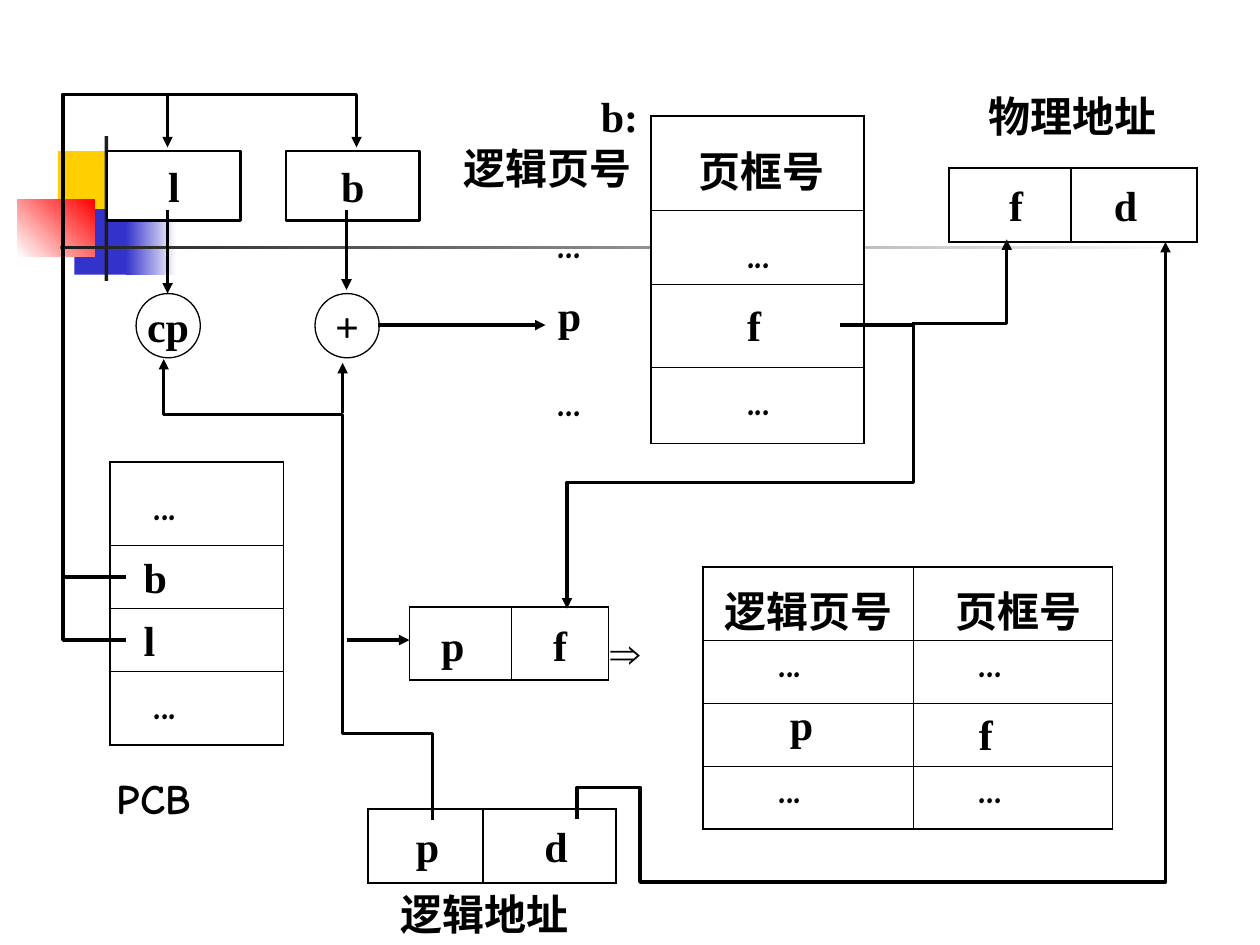
from dataclasses import dataclass
from typing import Optional

import lxml.etree
import pptx
import pptx.dml.color
import pptx.enum.shapes
import pptx.enum.text
import pptx.oxml.ns
import pptx.util

Inches = pptx.util.Inches
Pt = pptx.util.Pt
Shapes = pptx.enum.shapes.MSO_SHAPE
Align = pptx.enum.text.PP_ALIGN
Anchor = pptx.enum.text.MSO_ANCHOR
qn = pptx.oxml.ns.qn


@dataclass(frozen=True)
class Theme:
    ink: str = "000000"
    paper: str = "FFFFFF"
    yellow: str = "FFCF01"
    blue: str = "3333CC"
    red: str = "FF0000"
    charcoal: str = "1C1C1C"
    serif: str = "Times New Roman"
    casual: str = "Comic Neue"
    symbol: str = "Arial"
    text_size: float = 24
    thin: float = 0.75
    outline: float = 1.25
    medium: float = 1.75
    thick: float = 2


THEME = Theme()


@dataclass(frozen=True)
class Ornament:
    box: tuple
    color: str
    end_color: Optional[str] = None
    angle: float = 0


@dataclass(frozen=True)
class Node:
    kind: int
    box: tuple
    text: str
    weight: float


@dataclass(frozen=True)
class Label:
    box: tuple
    text: str


@dataclass(frozen=True)
class Cell:
    text: str
    left: float
    top: float = 0.13
    centered: bool = False


@dataclass(frozen=True)
class Grid:
    left: float
    top: float
    columns: tuple
    rows: tuple
    cells: tuple
    divider: float = THEME.thin


@dataclass(frozen=True)
class Route:
    points: tuple
    weight: float = THEME.thick


ORNAMENTS = (
    Ornament((0.46, 1.2, 0.48, 0.52), THEME.yellow),
    Ornament((0.88, 1.2, 0.36, 0.52), THEME.yellow, THEME.paper),
    Ornament((0.59, 1.66, 0.46, 0.52), THEME.blue),
    Ornament((1, 1.66, 0.4, 0.52), THEME.blue, THEME.paper),
    Ornament((0.14, 1.58, 0.61, 0.46), THEME.paper, THEME.red, 45),
    Ornament((0.83, 1.08, 0.03, 1.15), THEME.charcoal),
    Ornament((0.48, 1.95, 9, 0.03), THEME.charcoal, THEME.paper),
)
NODES = (
    Node(Shapes.RECTANGLE, (0.85, 1.2, 1.06, 0.55), "l", THEME.outline),
    Node(Shapes.RECTANGLE, (2.27, 1.2, 1.06, 0.55), "b", THEME.outline),
    Node(Shapes.OVAL, (1.08, 2.33, 0.51, 0.51), "cp", THEME.thin),
    Node(Shapes.OVAL, (2.5, 2.33, 0.51, 0.51), "+", THEME.thin),
)
GRIDS = (
    # Associative memory table
    Grid(5.58, 4.5, (1.67, 1.58), (0.58, 0.5, 0.5, 0.5), (
        (Cell("逻辑页号", 0, 0.09, True), Cell("页框号", 0.09, 0.09, True)),
        (Cell("...", 0.6, 0), Cell("...", 0.52, 0)),
        (Cell("p", 0.69, 0), Cell("f", 0.52, 0.08)),
        (Cell("...", 0.6, 0), Cell("...", 0.52, 0)),
    )),
    # Process control block
    Grid(0.87, 3.67, (1.38,), (0.66, 0.5, 0.5, 0.58), (
        (Cell("...", 0.35, 0.16),), (Cell("b", 0.27, 0.08),),
        (Cell("l", 0.27, 0.08),), (Cell("...", 0.35, 0.08),),
    )),
    # Page table
    Grid(5.17, 0.92, (1.69,), (0.75, 0.59, 0.66, 0.6), (
        (Cell("页框号", 0.05, 0.18, True),), (Cell("...", 0.76, 0.16),),
        (Cell("f", 0.76, 0.15),), (Cell("...", 0.76, 0.08),),
    )),
    # Physical address, logical address, matched entry
    Grid(7.53, 1.33, (0.97, 1), (0.59,), ((Cell("f", 0.48), Cell("d", 0.34)),)),
    Grid(2.92, 6.42, (0.91, 1.06), (0.59,), ((Cell("p", 0.38), Cell("d", 0.49)),),
         THEME.outline),
    Grid(3.25, 4.82, (0.81, 0.77), (0.58,), ((Cell("p", 0.25), Cell("f", 0.33)),)),
)
LABELS = (
    Label((4.67, 0.67, 0.58, 0.5), "b:"),
    Label((3.58, 1.08, 1.67, 0.5), "逻辑页号"),
    Label((4.33, 1.67, 0.75, 0.5), "..."),
    Label((4.33, 2.25, 0.75, 0.5), "p"),
    Label((4.33, 2.92, 0.75, 0.5), "..."),
    Label((7.75, 0.67, 1.67, 0.5), "物理地址"),
    Label((3.08, 7, 1.67, 0.5), "逻辑地址"),
    Label((0.83, 6.08, 1, 0.5), "PCB"),
    Label((4.75, 4.92, 0.42, 0.5), "⇒"),
)
ROUTES = (
    # Control block to the two registers
    Route(((1, 4.58), (0.5, 4.58), (0.5, 0.75), (2.83, 0.75), (2.83, 1.17))),
    Route(((1, 5.08), (0.5, 5.08), (0.5, 0.75), (1.33, 0.75), (1.33, 1.17))),
    # Registers to comparison and sum, then to the page table
    Route(((1.33, 1.67), (1.33, 2.33))),
    Route(((2.75, 1.67), (2.75, 2.3))),
    Route(((3, 2.58), (4.33, 2.58))),
    # Page number from the logical address
    Route(((3.43, 6.51), (3.43, 5.82), (2.72, 5.82), (2.72, 3.29), (1.3, 3.29),
           (1.3, 2.85)), THEME.medium),
    Route(((2.72, 3.28), (2.72, 2.88)), THEME.medium),
    Route(((2.75, 5.08), (3.25, 5.08))),
    # Offset and frame number to the physical address
    Route(((4.58, 6.5), (4.58, 6.25), (5.08, 6.25), (5.08, 7), (9.25, 7),
           (9.25, 1.92))),
    Route(((6.67, 2.58), (7.25, 2.58), (7.25, 3.83), (4.5, 3.83), (4.5, 4.83))),
    Route(((7.24, 2.57), (7.99, 2.57), (7.99, 1.9)), THEME.medium),
)


def rgb(color: str) -> pptx.dml.color.RGBColor:
    return pptx.dml.color.RGBColor.from_string(color)


def write(frame, text: str, centered: bool = False) -> None:
    paragraph = frame.paragraphs[0]
    paragraph.alignment = Align.CENTER if centered else Align.LEFT
    run = paragraph.add_run()
    run.text = text
    fonts = {"...": THEME.casual, "PCB": THEME.casual, "⇒": THEME.symbol}
    run.font.name = fonts.get(text, THEME.serif)
    run.font.size = Pt(THEME.text_size)
    run.font.bold = True
    run.font.color.rgb = rgb(THEME.ink)


def draw_ornament(slide, ornament: Ornament) -> None:
    shape = slide.shapes.add_shape(Shapes.RECTANGLE, *map(Inches, ornament.box))
    shape.shadow.inherit = False
    shape.line.fill.background()
    if ornament.end_color is None:
        shape.fill.solid()
        shape.fill.fore_color.rgb = rgb(ornament.color)
        return
    shape.fill.gradient()
    shape.fill.gradient_angle = ornament.angle
    for stop, color in zip(shape.fill.gradient_stops, (ornament.color, ornament.end_color)):
        stop.color.rgb = rgb(color)


def draw_node(slide, node: Node) -> None:
    shape = slide.shapes.add_shape(node.kind, *map(Inches, node.box))
    shape.shadow.inherit = False
    shape.fill.solid()
    shape.fill.fore_color.rgb = rgb(THEME.paper)
    shape.line.color.rgb = rgb(THEME.ink)
    shape.line.width = Pt(node.weight)
    shape.text_frame.word_wrap = False
    shape.text_frame.vertical_anchor = Anchor.MIDDLE
    write(shape.text_frame, node.text, centered=True)


def draw_label(slide, label: Label) -> None:
    frame = slide.shapes.add_textbox(*map(Inches, label.box)).text_frame
    frame.word_wrap = True
    write(frame, label.text)


def add_border(cell, side: str, weight: float) -> None:
    properties = cell._tc.get_or_add_tcPr()
    line = lxml.etree.SubElement(properties, qn(f"a:ln{side}"), w=str(Pt(weight)))
    fill = lxml.etree.SubElement(line, qn("a:solidFill"))
    lxml.etree.SubElement(fill, qn("a:srgbClr"), val=THEME.ink)


def draw_grid(slide, grid: Grid) -> None:
    box = (grid.left, grid.top, sum(grid.columns), sum(grid.rows))
    table = slide.shapes.add_table(len(grid.rows), len(grid.columns), *map(Inches, box)).table
    table.first_row = table.horz_banding = False
    for column, width in zip(table.columns, grid.columns):
        column.width = Inches(width)
    last_row, last_column = len(grid.rows) - 1, len(grid.columns) - 1
    for i, height in enumerate(grid.rows):
        table.rows[i].height = Inches(height)
        for j, content in enumerate(grid.cells[i]):
            cell = table.cell(i, j)
            cell.margin_left, cell.margin_top = Inches(content.left), Inches(content.top)
            cell.margin_right = cell.margin_bottom = 0
            edges = {"L": j == 0, "R": j == last_column, "T": i == 0, "B": i == last_row}
            for side, outer in edges.items():
                add_border(cell, side, THEME.outline if outer else grid.divider)
            cell.fill.solid()
            cell.fill.fore_color.rgb = rgb(THEME.paper)
            write(cell.text_frame, content.text, content.centered)


def draw_route(slide, route: Route) -> None:
    points = [(Inches(x), Inches(y)) for x, y in route.points]
    if len(points) == 2:
        shape = slide.shapes.add_connector(
            pptx.enum.shapes.MSO_CONNECTOR.STRAIGHT, *points[0], *points[1])
    else:
        builder = slide.shapes.build_freeform(*points[0], scale=1.0)
        builder.add_line_segments(points[1:], close=False)
        shape = builder.convert_to_shape()
        shape.fill.background()
    shape.line.color.rgb = rgb(THEME.ink)
    shape.line.width = Pt(route.weight)
    lxml.etree.SubElement(shape.line._get_or_add_ln(), qn("a:tailEnd"), type="triangle")
    lxml.etree.SubElement(shape._element.spPr, qn("a:effectLst"))


def main() -> None:
    presentation = pptx.Presentation()
    presentation.slide_width, presentation.slide_height = Inches(10), Inches(7.5)
    slide = presentation.slides.add_slide(presentation.slide_layouts[6])
    layers = ((draw_ornament, ORNAMENTS), (draw_node, NODES), (draw_grid, GRIDS),
              (draw_label, LABELS), (draw_route, ROUTES))
    for draw, parts in layers:
        for part in parts:
            draw(slide, part)
    presentation.save("out.pptx")


if __name__ == "__main__":
    main()
